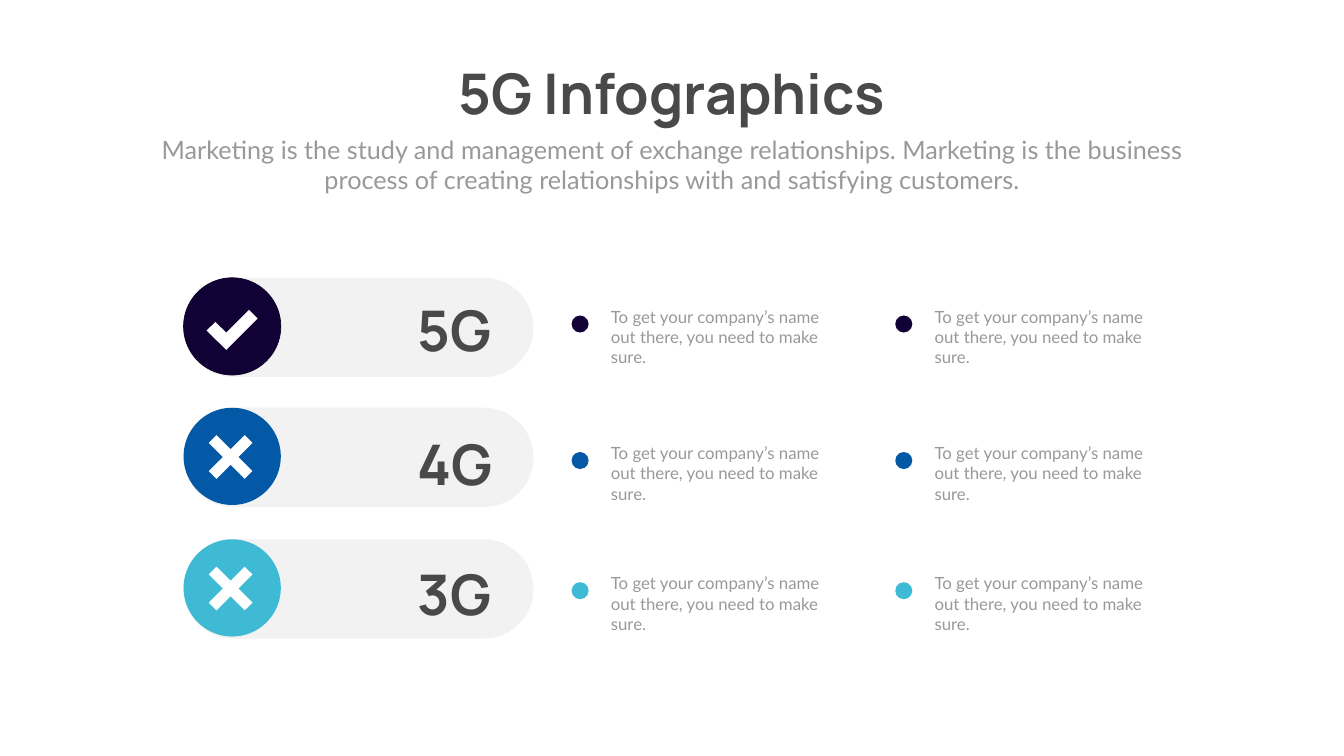
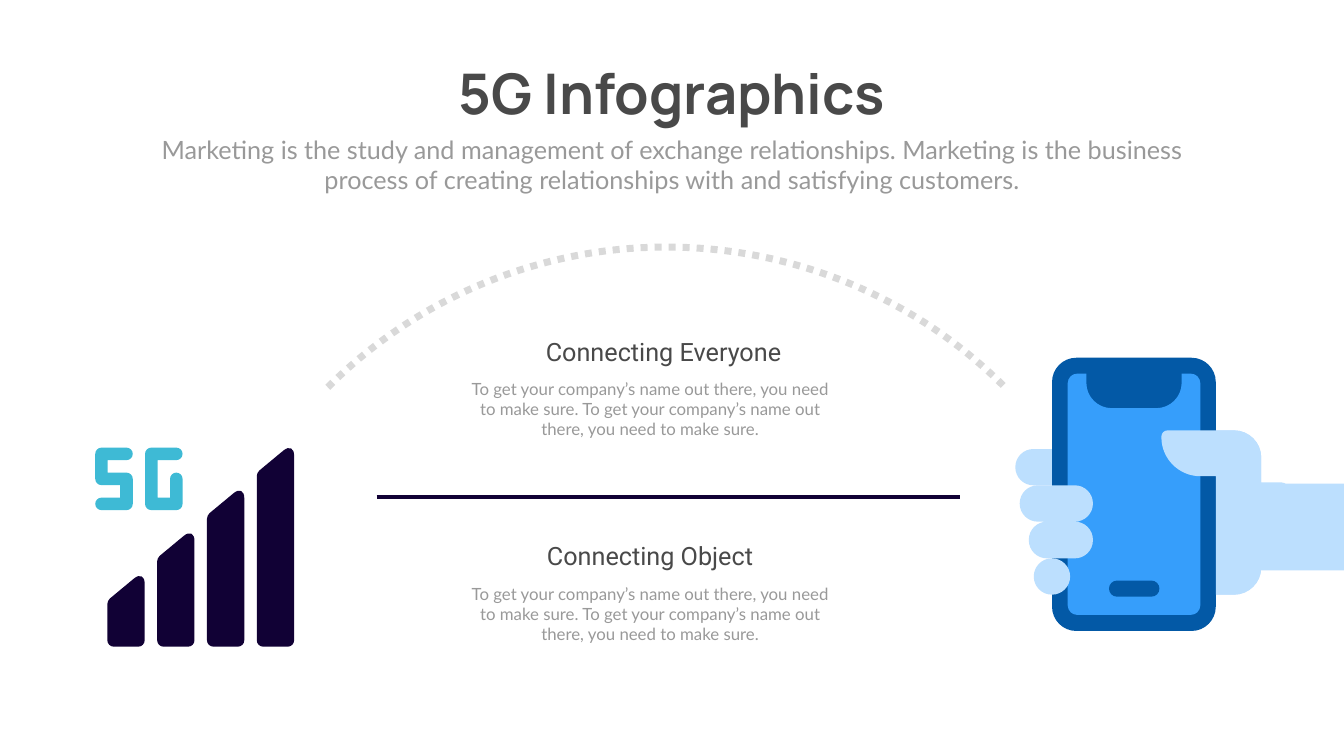
"""Build two 5G infographic slides."""
import dataclasses
import math
import typing

import lxml.etree
import pptx
import pptx.dml.color
import pptx.enum.dml
import pptx.enum.shapes
import pptx.enum.text
import pptx.oxml.ns
import pptx.util

Cm = pptx.util.Cm
Pt = pptx.util.Pt
RGBColor = pptx.dml.color.RGBColor
Kind = pptx.enum.shapes.MSO_SHAPE
Align = pptx.enum.text.PP_ALIGN
qn = pptx.oxml.ns.qn

WHITE = RGBColor(0xFF, 0xFF, 0xFF)
DARK = RGBColor(0x49, 0x49, 0x49)
GREY = RGBColor(0x99, 0x99, 0x99)
PALE = RGBColor(0xF2, 0xF2, 0xF2)
DOTTED = RGBColor(0xD9, 0xD9, 0xD9)
NAVY = RGBColor(0x11, 0x01, 0x35)
EDGE = RGBColor(0x0D, 0x01, 0x27)
BLUE = RGBColor(0x03, 0x59, 0xA6)
TEAL = RGBColor(0x3E, 0xBA, 0xD5)
SKY = RGBColor(0x36, 0x9E, 0xFB)
SKIN = RGBColor(0xBC, 0xDF, 0xFE)

NOTE = "To get your company’s name out there, you need to make sure."
INTRO = ("Marketing is the study and management of exchange relationships. "
         "Marketing is the business process of creating relationships with "
         "and satisfying customers.")

Tree = typing.Any
Shape = typing.Any
Point = tuple[float, ...]


@dataclasses.dataclass(frozen=True)
class Style:
    font: str
    size: int
    color: RGBColor
    bold: bool = False
    align: typing.Any = Align.CENTER
    wrap: bool = True


@dataclasses.dataclass(frozen=True)
class Row:
    name: str
    color: RGBColor
    top: float
    name_top: float
    note_top: float
    works: bool = False


@dataclasses.dataclass(frozen=True)
class Topic:
    head: str
    left: float
    top: float


@dataclasses.dataclass(frozen=True)
class Part:
    color: RGBColor
    points: list[Point]


TITLE = Style("Manrope", 80, DARK, bold=True, wrap=False)
LEAD = Style("Lato", 36, GREY)
HEAD = Style("Roboto", 36, DARK)
BODY = Style("Lato", 24, GREY)
ITEM = Style("Lato", 24, GREY, align=Align.LEFT)

ROWS = [
    Row("5G", NAVY, 14, 14.78, 15.32, works=True),
    Row("4G", BLUE, 20.55, 21.5, 22.2),
    Row("3G", TEAL, 27.18, 28.07, 28.76),
]
TOPICS = [
    Topic("Connecting Everyone", 26.64, 16.8),
    Topic("Connecting Object", 25.96, 27.1),
]
CHECK = [(12.98, 16.05), (12.55, 15.62), (11.4, 16.76),
         (10.85, 16.23), (10.41, 16.66), (11.4, 17.63)]

UNIT = 0.63
FIVE = [(0, 0, .5), (3, 0, .5), (3, 1, .5), (1, 1), (1, 2), (3, 2, .5),
        (3, 5, .5), (0, 5, .5), (0, 4, .5), (2, 4), (2, 3), (0, 3, .5)]
GEE = [(0, 0, .5), (3, 0, .5), (3, 1, .5), (1, 1), (1, 4), (2, 4),
       (2, 2, .5), (3, 2, .5), (3, 5, .5), (0, 5, .5)]


def box(left: float, top: float, right: float, low: float,
        bend: float) -> list[Point]:
    return [(left, top, bend), (right, top, bend),
            (right, low, bend), (left, low, bend)]


WRIST = [(64.95, 28.6, .4), (63.55, 28.6), (63.55, 29.97, 1.37)]
PHONE = [
    Part(SKIN, [(51.16, 22.63, .91), (58.6, 22.63), (58.52, 21.69, .31),
                (63.55, 21.69, 1.37), (63.55, 24.92), (64.95, 24.92, .4),
                *WRIST, (53.01, 29.97), (53.01, 24.46), (51.16, 24.46, .91)]),
    Part(BLUE, box(53.01, 18.03, 61.26, 31.8, 1.22)),
    Part(SKY, [(53.8, 18.83, .48), (54.74, 18.83), (54.74, 20.57, 1.27),
               (59.54, 20.57, 1.27), (59.54, 18.83), (60.48, 18.83, .48),
               (60.48, 30.99, .48), (53.8, 30.99, .48)]),
    Part(SKIN, box(52.09, 28.14, 53.92, 29.97, .91)),
    Part(SKIN, [(51.38, 24.46, .91), (55.07, 24.46, .91), (55.07, 26.29, .91),
                (54.15, 26.29), (55.07, 26.29, .91), (55.07, 28.14, .91),
                (51.84, 28.14, .91), (51.84, 26.29, .91), (52.78, 26.29),
                (51.38, 26.29, .91)]),
    Part(BLUE, box(55.88, 29.26, 58.42, 30.07, .4)),
    Part(SKIN, [(58.52, 21.69, .31), (63.55, 21.69, 1.37), (63.55, 24.31),
                (64.95, 24.31, .4), *WRIST, (61.26, 29.97), (61.26, 24),
                (58.52, 24, 1.96)]),
]


def paint(shape: Shape, color: RGBColor) -> Shape:
    shape.shadow.inherit = False
    shape.fill.solid()
    shape.fill.fore_color.rgb = color
    shape.line.fill.background()
    return shape


def stroke(shape: Shape, color: RGBColor, width: float) -> None:
    shape.line.color.rgb = color
    shape.line.width = Pt(width)


def solid(tree: Tree, kind: Kind, left: float, top: float, width: float,
          height: float, color: RGBColor) -> Shape:
    shape = tree.add_shape(kind, Cm(left), Cm(top), Cm(width), Cm(height))
    return paint(shape, color)


def write(tree: Tree, text: str, left: float, top: float, width: float,
          height: float, style: Style) -> None:
    frame = tree.add_textbox(Cm(left), Cm(top), Cm(width), Cm(height)).text_frame
    frame.word_wrap = style.wrap
    frame.auto_size = pptx.enum.text.MSO_AUTO_SIZE.SHAPE_TO_FIT_TEXT
    frame.text = text
    line = frame.paragraphs[0]
    line.alignment = style.align
    font = line.runs[0].font
    font.name = style.font
    font.size = Pt(style.size)
    font.bold = style.bold
    font.color.rgb = style.color


def toward(start: Point, goal: Point, length: float) -> Point:
    share = length / math.dist(start[:2], goal[:2])
    return (start[0] + share * (goal[0] - start[0]),
            start[1] + share * (goal[1] - start[1]))


def corner(prior: Point, spot: Point, after: Point) -> list[Point]:
    if len(spot) == 2:
        return [spot]
    return [toward(spot, goal, spot[2] * share) for goal, share in
            ((prior, 1), (prior, .45), (after, .45), (after, 1))]


def outline(tree: Tree, points: list[Point], color: RGBColor) -> Shape:
    spots, bends = [], []
    for i, spot in enumerate(points):
        stops = corner(points[i - 1], spot, points[(i + 1) % len(points)])
        if len(stops) == 4:
            bends.append(len(spots) + 1)
        spots += stops
    ends = [(Cm(x), Cm(y)) for x, y in spots]
    pen = tree.build_freeform(*ends[0])
    pen.add_line_segments(ends[1:], close=True)
    shape = paint(pen.convert_to_shape(), color)
    track = next(shape._element.iter(qn("a:path")))
    nodes = list(track)
    for first in bends:
        node, *others = nodes[first:first + 3]
        node.tag = qn("a:cubicBezTo")
        for other in others:
            node.append(other[0])
            track.remove(other)
    return shape


def cross(tree: Tree, x: float, y: float) -> None:
    arm = [(.24, 0), (.95, .71), (.71, .95)]
    points = []
    for _ in range(4):
        points += [(x + a, y + b) for a, b in arm]
        arm = [(-b, a) for a, b in arm]
    shape = outline(tree, points, WHITE)
    stroke(shape, WHITE, 6)
    edge = shape._element.spPr.find(qn("a:ln"))
    lxml.etree.SubElement(edge, qn("a:miter"), lim="800000")


def start(deck: typing.Any) -> Tree:
    tree = deck.slides.add_slide(deck.slide_layouts[6]).shapes
    group = tree.add_group_shape().shapes
    write(group, "5G Infographics", 21.94, 2.84, 23.85, 3.68, TITLE)
    write(group, INTRO, 7.42, 6.63, 52.88, 3.33, LEAD)
    return tree


def draw_row(tree: Tree, row: Row) -> None:
    pill = solid(tree, Kind.ROUNDED_RECTANGLE, 9.25, row.top, 17.63, 5, PALE)
    pill.adjustments[0] = 0.5
    disc = solid(tree, Kind.OVAL, 9.25, row.top, 4.9, 4.9, row.color)
    if row.works:
        stroke(disc, EDGE, 1)
        outline(tree, CHECK, WHITE)
    else:
        cross(tree, 11.62, row.top + 2.48)
    write(tree, row.name, 20.64, row.name_top, 4.55, 3.68, TITLE)
    for left in (30.53, 46.84):
        write(tree, NOTE, left, row.note_top, 12.29, 2.31, ITEM)
        solid(tree, Kind.OVAL, left - 1.73, row.note_top + .58, .86, .86,
              row.color)


def draw_signal(tree: Tree) -> None:
    low = 32.59
    for i in range(4):
        left, top = 5.41 + 2.51 * i, 29 - 2.15 * i
        right = left + 1.88
        outline(tree, [(left, top + 1.27, .17), (right, top - .29, .7),
                       (right, low, .32), (left, low, .32)], NAVY)
    for glyph, left in ((GEE, 7.31), (FIVE, 4.8)):
        points = [(left + UNIT * x, 22.56 + UNIT * y, *(UNIT * b for b in bend))
                  for x, y, *bend in glyph]
        outline(tree, points, TEAL)


def draw_link(tree: Tree) -> None:
    solid(tree, Kind.RECTANGLE, 58.29, 24.38, 9.42, 4.37, SKIN)
    arc = tree.add_shape(Kind.ARC, Cm(9.45), Cm(12.45), Cm(48.26), Cm(48.26))
    arc.shadow.inherit = False
    arc.rotation = 315
    arc.fill.background()
    stroke(arc, DOTTED, 10)
    arc.line.dash_style = pptx.enum.dml.MSO_LINE.ROUND_DOT


def draw_rule(tree: Tree) -> None:
    rule = tree.add_connector(pptx.enum.shapes.MSO_CONNECTOR.STRAIGHT,
                              Cm(18.98), Cm(25.04), Cm(48.36), Cm(25.04))
    stroke(rule, NAVY, 6)
    lxml.etree.SubElement(rule._element.spPr, qn("a:effectLst"))


def main() -> None:
    deck = pptx.Presentation()
    deck.slide_width, deck.slide_height = Cm(67.72), Cm(38.1)

    tree = start(deck)
    for row in ROWS:
        draw_row(tree, row)

    tree = start(deck)
    draw_signal(tree.add_group_shape().shapes)
    draw_link(tree)
    hand = tree.add_group_shape().shapes
    for part in PHONE:
        outline(hand, part.points, part.color)
    for topic in TOPICS:
        write(tree, f"{NOTE} {NOTE}", 23.47, topic.top + 2.17, 18.57, 3.33, BODY)
        write(tree, topic.head, topic.left, topic.top, 13.59, 1.8, HEAD)
    draw_rule(tree)

    deck.save("out.pptx")


if __name__ == "__main__":
    main()
